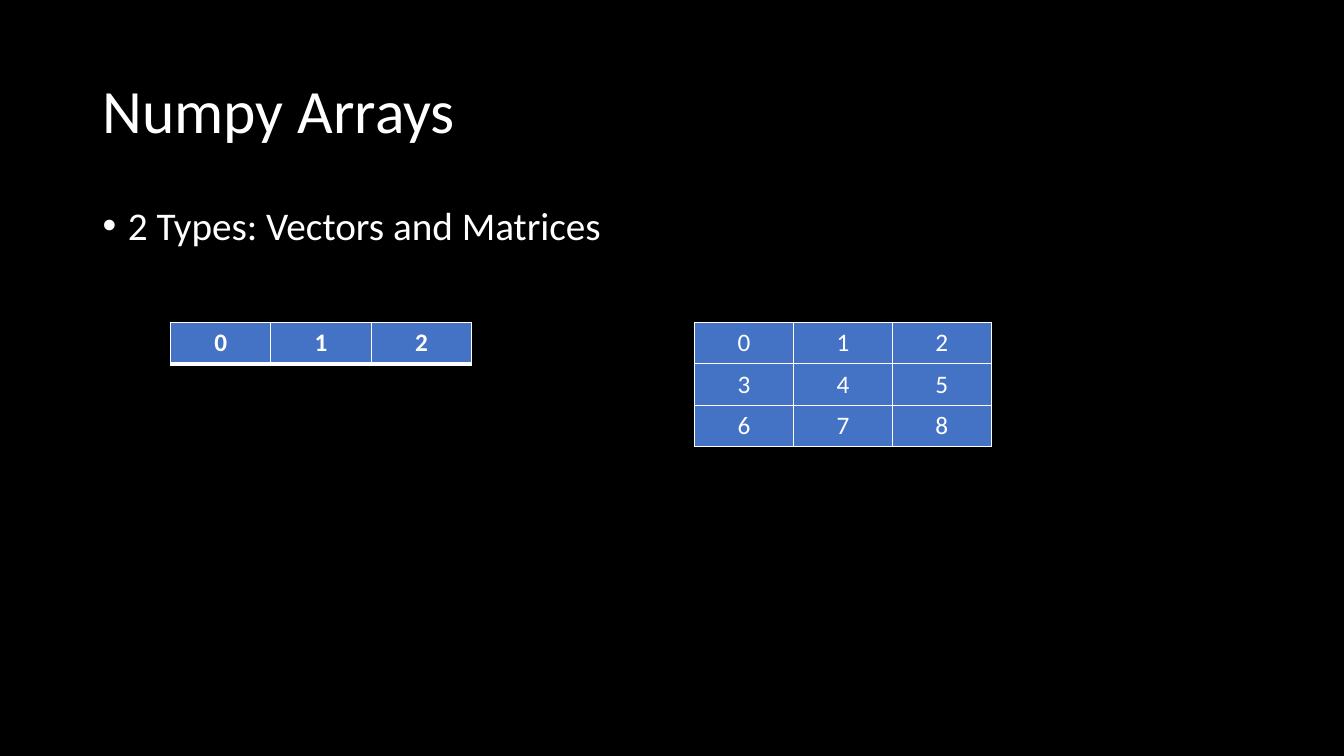
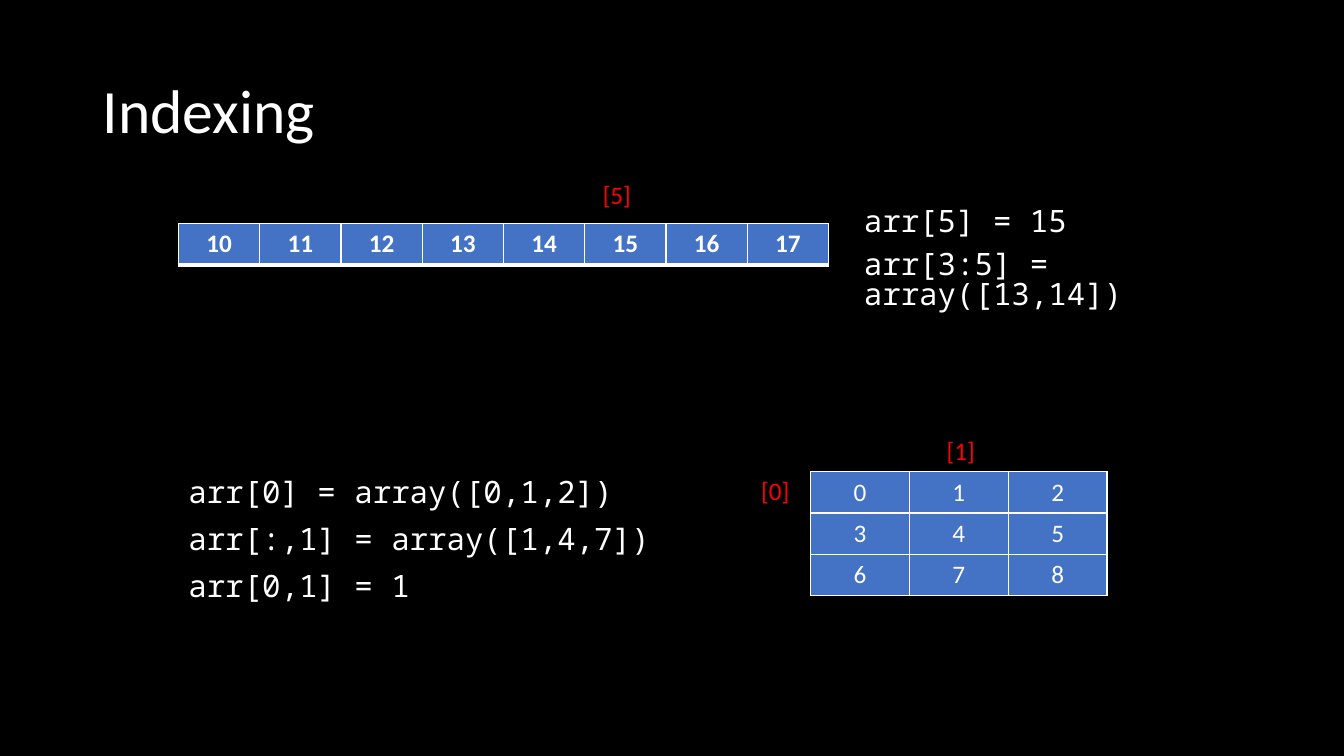
from dataclasses import dataclass

from lxml.etree import SubElement
from pptx import Presentation
from pptx.dml.color import RGBColor
from pptx.enum.text import MSO_ANCHOR as Anchor, PP_ALIGN as Align
from pptx.oxml.ns import qn
from pptx.util import Inches, Pt


@dataclass(frozen=True)
class Theme:
    background: str = "000000"
    ink: str = "FFFFFF"
    cell: str = "4472C4"
    index: str = "FF0000"
    font: str = "Calibri"
    code_font: str = "Noto Sans Mono"
    title_size: float = 44
    body_size: float = 28
    code_size: float = 22
    cell_size: float = 18
    thin: float = 1
    thick: float = 3


THEME = Theme()
TITLE_AT = (0.92, 0.4, 11.5, 1.45)
ROW_HEIGHT = 0.41
MATRIX_WIDTH = 2.94
LABEL_SIZE = (0.55, 0.4)
MATRIX = [[0, 1, 2], [3, 4, 5], [6, 7, 8]]

SLIDES = [
    {
        "title": "Numpy Arrays",
        "bullets": [(["2 Types: Vectors and Matrices"], (0.92, 2, 11.5, 4.76))],
        "vectors": [([0, 1, 2], (1.69, 3.2, 2.99))],
        "matrices": [(MATRIX, (6.89, 3.2, MATRIX_WIDTH))],
    },
    {
        "title": "Indexing",
        "code": [
            (["arr[5] = 15", "arr[3:5] = array([13,14])"],
             (8.47, 2.02, 4.42, 1.09), 0.8),
            (["arr[0] = array([0,1,2])", "arr[:,1] = array([1,4,7])", "arr[0,1] = 1"],
             (1.77, 4.68, 4.9, 1.61), 0.9),
        ],
        "vectors": [(range(10, 18), (1.77, 2.22, 6.45))],
        "matrices": [(MATRIX, (8.04, 4.68, MATRIX_WIDTH))],
        "labels": [("[5]", (5.88, 1.73)), ("[0]", (7.45, 4.67)), ("[1]", (9.29, 4.27))],
    },
]


def write(frame, lines, size, color=THEME.ink, font=THEME.font, bold=False,
          align=Align.LEFT, spacing=1.0, before=0, bullet=False):
    for number, line in enumerate(lines):
        para = frame.paragraphs[0] if number == 0 else frame.add_paragraph()
        para.alignment = align
        para.line_spacing = spacing
        para.space_before = Pt(before)
        if bullet:
            props = para._p.get_or_add_pPr()
            props.set("marL", str(Inches(0.25)))
            props.set("indent", str(Inches(-0.25)))
            SubElement(props, qn("a:buFont")).set("typeface", "Arial")
            SubElement(props, qn("a:buChar")).set("char", "•")
        span = para.add_run()
        span.text = str(line)
        span.font.name = font
        span.font.size = Pt(size)
        span.font.bold = bold
        span.font.color.rgb = RGBColor.from_string(color)


def add_text(page, lines, at, size, anchor=Anchor.TOP, **style):
    frame = page.shapes.add_textbox(*map(Inches, at)).text_frame
    frame.word_wrap = True
    frame.vertical_anchor = anchor
    write(frame, lines, size, **style)


def set_borders(cell, bottom):
    props = cell._tc.get_or_add_tcPr()
    widths = {"L": THEME.thin, "R": THEME.thin, "T": THEME.thin, "B": bottom}
    for side, width in widths.items():
        line = SubElement(props, qn(f"a:ln{side}"), w=str(Pt(width)))
        fill = SubElement(line, qn("a:solidFill"))
        SubElement(fill, qn("a:srgbClr")).set("val", THEME.ink)


def add_grid(page, rows, at, vector=False):
    """Draw an array; a vector is bold with a heavy bottom edge."""
    left, top, width = at
    columns = len(rows[0])
    table = page.shapes.add_table(
        len(rows), columns, Inches(left), Inches(top),
        Inches(width), Inches(ROW_HEIGHT * len(rows))).table
    table.first_row = table.horz_banding = False
    for column in table.columns:
        column.width = Inches(width / columns)
    for row, values in zip(table.rows, rows):
        row.height = Inches(ROW_HEIGHT)
        for cell, value in zip(row.cells, values):
            set_borders(cell, THEME.thick if vector else THEME.thin)
            cell.fill.solid()
            cell.fill.fore_color.rgb = RGBColor.from_string(THEME.cell)
            if not vector:
                cell.vertical_anchor = Anchor.MIDDLE
                cell.margin_left = cell.margin_right = 0
                cell.margin_top = cell.margin_bottom = 0
            write(cell.text_frame, [value], THEME.cell_size,
                  bold=vector, align=Align.CENTER)


def add_page(deck, content):
    page = deck.slides.add_slide(deck.slide_layouts[6])
    page.background.fill.solid()
    page.background.fill.fore_color.rgb = RGBColor.from_string(THEME.background)
    add_text(page, [content["title"]], TITLE_AT, THEME.title_size,
             anchor=Anchor.MIDDLE, spacing=0.9)
    for lines, at in content.get("bullets", []):
        add_text(page, lines, at, THEME.body_size, spacing=0.9, before=10, bullet=True)
    for lines, at, spacing in content.get("code", []):
        add_text(page, lines, at, THEME.code_size, font=THEME.code_font,
                 spacing=spacing, before=10)
    for values, at in content["vectors"]:
        add_grid(page, [values], at, vector=True)
    for rows, at in content["matrices"]:
        add_grid(page, rows, at)
    for label, corner in content.get("labels", []):
        add_text(page, [label], corner + LABEL_SIZE, THEME.cell_size, color=THEME.index)


def main():
    deck = Presentation()
    deck.slide_width, deck.slide_height = Inches(13.33), Inches(7.5)
    for content in SLIDES:
        add_page(deck, content)
    deck.save("out.pptx")


if __name__ == "__main__":
    main()
